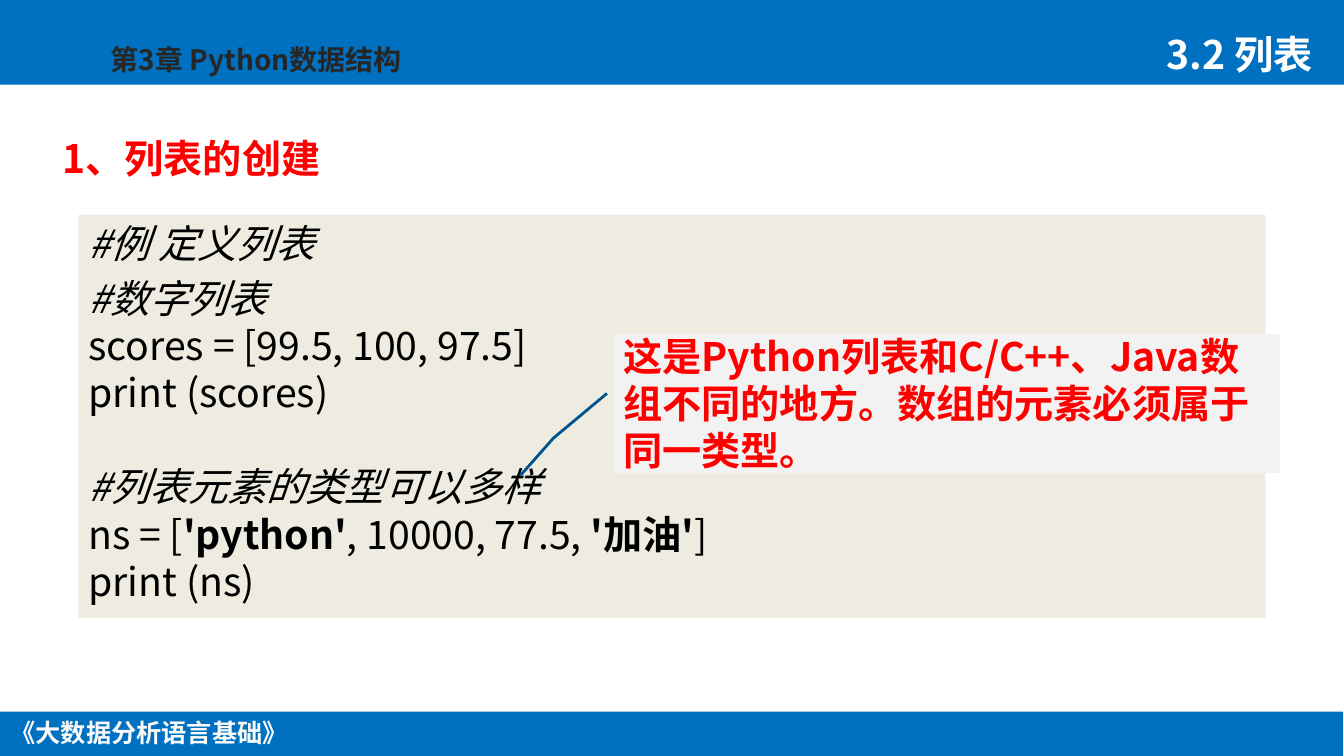
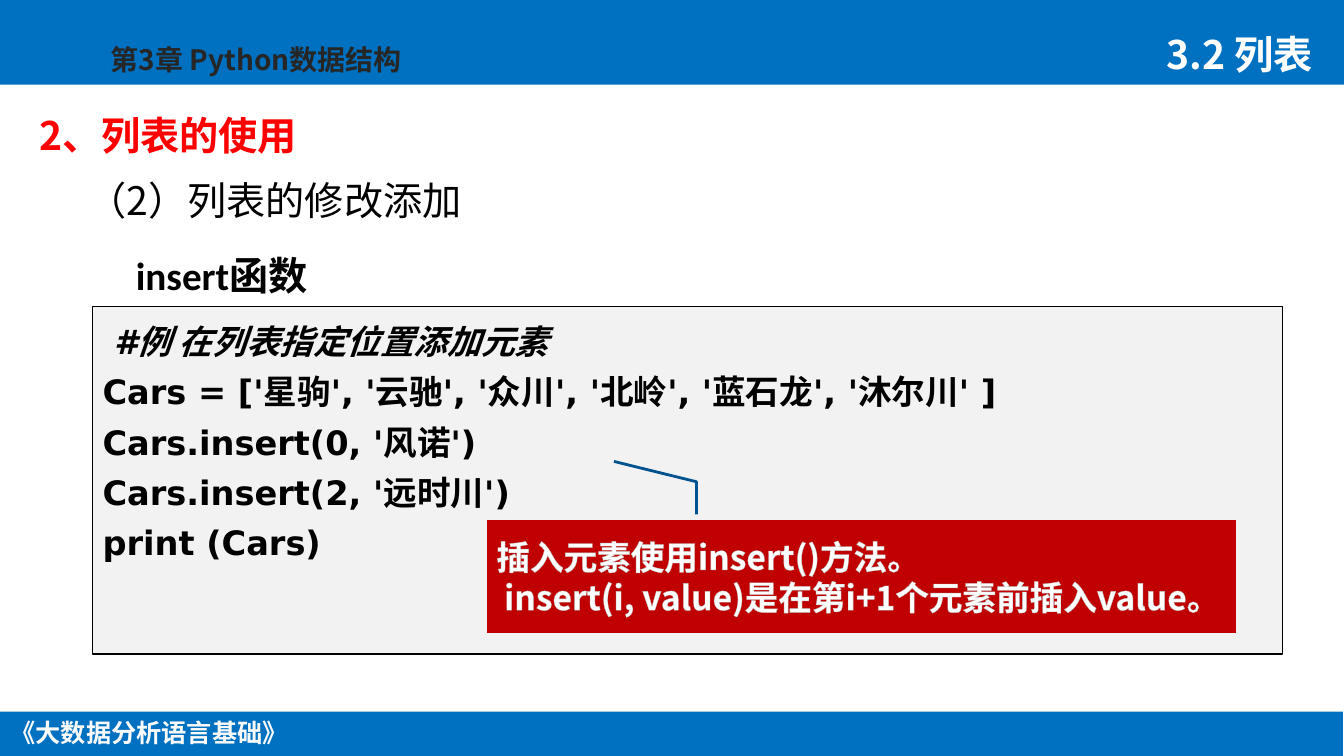
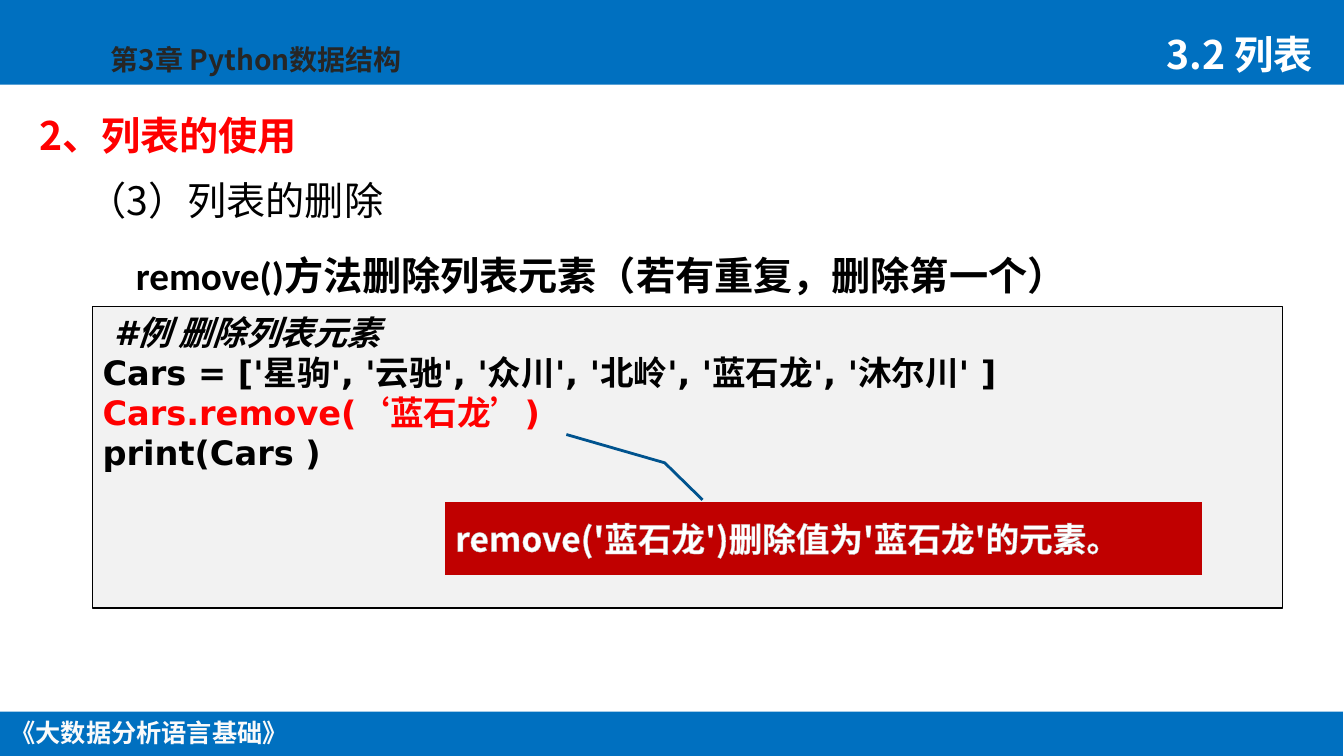
from dataclasses import dataclass
from typing import Optional

from lxml.etree import SubElement
from pptx import Presentation
from pptx.dml.color import RGBColor
from pptx.enum.shapes import MSO_SHAPE
from pptx.enum.text import MSO_ANCHOR, MSO_AUTO_SIZE, PP_ALIGN
from pptx.oxml import parse_xml
from pptx.oxml.ns import nsdecls, qn
from pptx.util import Inches, Pt

SLIDE_WIDTH = 13.34
SLIDE_HEIGHT = 7.5
CJK_FONT = "Noto Sans CJK SC"
CODE_FONT = "DejaVu Sans"
BAND_BLUE = "0070C0"
LEADER_BLUE = "00538E"
RED = "FF0000"
DARK_RED = "C00000"
BLACK = "000000"
WHITE = "FFFFFF"
PALE_GREY = "F2F2F2"
BEIGE = "EEECE1"
SECTION = "3.2 列表"
CAR_LIST = "Cars = ['星驹', '云驰', '众川', '北岭', '蓝石龙', '沐尔川' ]"


@dataclass(frozen=True)
class Box:
    """Position and size in inches."""

    left: float
    top: float
    width: float
    height: float


@dataclass(frozen=True)
class Span:
    """Text whose format differs from that of its block where it is set."""

    text: str
    bold: Optional[bool] = None
    italic: Optional[bool] = None
    color: Optional[str] = None


@dataclass(frozen=True)
class Line:
    """One paragraph of spans with the space before it in points."""

    spans: tuple[Span, ...]
    space_before: float = 0


@dataclass(frozen=True)
class Panel:
    """Filled rectangle holding lines of code."""

    box: Box
    fill: str
    lines: list[Line]
    border: Optional[str] = None
    size: float = 28
    font: str = CJK_FONT
    bold: bool = False
    line_spacing: Optional[float] = None


@dataclass(frozen=True)
class Callout:
    """Remark whose leader passes through relative y, x pairs."""

    box: Box
    leader: tuple[float, ...]
    lines: list[Line]
    fill: str = DARK_RED
    color: str = WHITE
    size: float = 24
    outline: Optional[tuple[str, float]] = ("BFBFBF", 0.8)


@dataclass(frozen=True)
class Lesson:
    """Content of one slide."""

    heading: str
    heading_box: Box
    panel: Panel
    callout: Callout
    topic: str = ""
    method: str = ""


def line(text: str, space_before: float = 0, **differences) -> Line:
    """Return a paragraph with a single span."""
    return Line((Span(text, **differences),), space_before)


def rgb(color: str) -> RGBColor:
    """Return the colour for a hex string."""
    return RGBColor.from_string(color)


def place(shape, box: Box) -> None:
    """Move and size a shape."""
    shape.left, shape.top = Inches(box.left), Inches(box.top)
    shape.width, shape.height = Inches(box.width), Inches(box.height)


def add_run(paragraph, text: str, *, size: float, color: str, font: str,
            bold: bool, italic: bool,
            outline: Optional[tuple[str, float]]) -> None:
    """Append a formatted run."""
    run = paragraph.add_run()
    run.text = text
    run.font.size = Pt(size)
    run.font.bold = bold
    run.font.italic = italic
    run.font.name = font
    run.font.color.rgb = rgb(color)
    properties = run._r.get_or_add_rPr()
    SubElement(properties, qn("a:ea")).set("typeface", CJK_FONT)
    if outline:
        outline_color, width = outline
        properties.insert(0, parse_xml(
            f'<a:ln {nsdecls("a")} w="{int(Pt(width))}"><a:solidFill>'
            f'<a:srgbClr val="{outline_color}"/></a:solidFill></a:ln>'))


def write_text(shape, lines: list[Line], *, size: float = 28,
               color: str = BLACK, font: str = CJK_FONT, bold: bool = False,
               outline: Optional[tuple[str, float]] = None,
               align: PP_ALIGN = PP_ALIGN.LEFT,
               anchor: MSO_ANCHOR = MSO_ANCHOR.TOP,
               line_spacing=None, wrap: bool = True) -> None:
    """Fill a shape with formatted paragraphs."""
    frame = shape.text_frame
    frame.word_wrap = wrap
    frame.auto_size = MSO_AUTO_SIZE.NONE
    frame.vertical_anchor = anchor
    for index, item in enumerate(lines):
        paragraph = frame.paragraphs[0] if index == 0 else frame.add_paragraph()
        paragraph.alignment = align
        paragraph.space_before = Pt(item.space_before)
        if line_spacing:
            paragraph.line_spacing = line_spacing
        for span in item.spans:
            add_run(paragraph, span.text, size=size, font=font, outline=outline,
                    color=span.color or color, italic=bool(span.italic),
                    bold=bold if span.bold is None else span.bold)


def add_filled(slide, kind: MSO_SHAPE, box: Box, fill: str,
               border: Optional[str] = None, border_width: float = 1):
    """Add a preset shape with a plain fill and an optional line."""
    shape = slide.shapes.add_shape(kind, 0, 0, 0, 0)
    place(shape, box)
    shape.shadow.inherit = False
    shape.fill.solid()
    shape.fill.fore_color.rgb = rgb(fill)
    if border:
        shape.line.color.rgb = rgb(border)
        shape.line.width = Pt(border_width)
    else:
        shape.line.fill.background()
    return shape


def add_label(slide, box: Box, text: str, **text_format):
    """Add a text box with one paragraph."""
    shape = slide.shapes.add_textbox(0, 0, 0, 0)
    place(shape, box)
    write_text(shape, [line(text)], **text_format)
    return shape


def fill_placeholder(placeholder, box: Box, text: str, **text_format) -> None:
    """Move a placeholder and write unbulleted text at its bottom."""
    place(placeholder, box)
    write_text(placeholder, [line(text)], anchor=MSO_ANCHOR.BOTTOM,
               line_spacing=0.9, **text_format)
    properties = placeholder.text_frame.paragraphs[0]._p.get_or_add_pPr()
    properties.set("marL", "0")
    properties.set("indent", "0")
    SubElement(properties, qn("a:buNone"))


def build_layout(presentation, layout) -> None:
    """Put the bands, chapter and course name on the layout."""
    slide = presentation.slides.add_slide(layout)
    shared = [
        add_filled(slide, MSO_SHAPE.RECTANGLE, Box(0, 0, SLIDE_WIDTH, 0.84),
                   BAND_BLUE),
        add_filled(slide, MSO_SHAPE.RECTANGLE,
                   Box(-0.01, 7.06, SLIDE_WIDTH, 0.45), BAND_BLUE),
        add_label(slide, Box(-0.01, 7.07, 2.98, 0.4), "《大数据分析语言基础》",
                  size=18, color="FAFAFA", bold=True, align=PP_ALIGN.CENTER,
                  wrap=False),
        add_label(slide, Box(1, 0.37, 3.78, 0.44), "第3章 Python数据结构",
                  size=20, color="262626", bold=True, outline=(WHITE, 1.06)),
    ]
    for index, shape in enumerate(shared):
        shape.element.nvSpPr.cNvPr.id = 20 + index
        layout.shapes.element.insert(2 + index, shape.element)


def build_slide(slide, lesson: Lesson) -> None:
    """Draw one lesson."""
    title, section, topic = slide.placeholders
    fill_placeholder(title, lesson.heading_box, lesson.heading,
                     color=RED, bold=True)
    fill_placeholder(section, Box(11.17, 0.08, 1.96, 0.74), SECTION,
                     color=WHITE, bold=True, align=PP_ALIGN.RIGHT)
    if lesson.topic:
        fill_placeholder(topic, Box(0.77, 1.79, 8.36, 0.48), lesson.topic)
    else:
        topic.element.getparent().remove(topic.element)
    if lesson.method:
        add_label(slide, Box(1.25, 2.26, 10.68, 0.94), lesson.method,
                  font="Calibri", bold=True, anchor=MSO_ANCHOR.MIDDLE)

    panel = lesson.panel
    code = add_filled(slide, MSO_SHAPE.RECTANGLE, panel.box, panel.fill,
                      panel.border)
    write_text(code, panel.lines, size=panel.size, font=panel.font,
               bold=panel.bold,
               line_spacing=Pt(panel.line_spacing) if panel.line_spacing else None)

    callout = lesson.callout
    remark = add_filled(slide, MSO_SHAPE.LINE_CALLOUT_2_NO_BORDER, callout.box,
                        callout.fill, LEADER_BLUE, 2)
    for index, value in enumerate(callout.leader):
        remark.adjustments[index] = value
    write_text(remark, callout.lines, size=callout.size, color=callout.color,
               bold=True, outline=callout.outline, anchor=MSO_ANCHOR.MIDDLE)


def car_panel(height: float, lines: list[Line],
              line_spacing: Optional[float] = None) -> Panel:
    """Return the bordered panel of the car examples."""
    return Panel(Box(0.92, 3.04, 11.81, height), PALE_GREY, lines, border=BLACK,
                 size=24, font=CODE_FONT, bold=True, line_spacing=line_spacing)


USE_HEADING = "2、列表的使用"
USE_BOX = Box(0.29, 1.15, 8.36, 0.48)

LESSONS = [
    Lesson(
        "1、列表的创建", Box(0.52, 0.97, 4.2, 0.89),
        Panel(Box(0.78, 2.13, 11.78, 4), BEIGE, [
            line("#例 定义列表", italic=True),
            line("#数字列表", 5.6, italic=True),
            line("scores = [99.5, 100, 97.5]"),
            line("print (scores)"),
            line("#列表元素的类型可以多样", 33.6, italic=True),
            Line((Span("ns = ["), Span("'python'", bold=True),
                  Span(", 10000, 77.5, "), Span("'加油'", bold=True),
                  Span("]"))),
            line("print (ns)"),
        ]),
        Callout(Box(6.09, 3.31, 6.61, 1.38),
                (0.43, -0.01, 0.75, -0.09, 1.02, -0.14),
                [line("这是Python列表和C/C++、Java数组不同的地方。"
                      "数组的元素必须属于同一类型。")],
                fill=PALE_GREY, color=RED, size=28, outline=None),
    ),
    Lesson(
        USE_HEADING, USE_BOX,
        car_panel(3.45, [
            line(" #例 在列表指定位置添加元素", italic=True),
            line(CAR_LIST),
            line("Cars.insert(0, '风诺')"),
            line("Cars.insert(2, '远时川')"),
            line("print (Cars)"),
        ], line_spacing=35.8),
        Callout(Box(4.83, 5.16, 7.44, 1.12),
                (-0.05, 0.28, -0.34, 0.28, -0.52, 0.17),
                [line("插入元素使用insert()方法。"),
                 line(" insert(i, value)是在第i+1个元素前插入value。")]),
        topic="（2）列表的修改添加", method="insert函数",
    ),
    Lesson(
        USE_HEADING, USE_BOX,
        car_panel(2.99, [
            line(" #例 删除列表元素", italic=True),
            line(CAR_LIST),
            line("Cars.remove(‘蓝石龙’)", color=RED),
            line("print(Cars )"),
        ]),
        Callout(Box(4.42, 4.98, 7.51, 0.72),
                (-0.03, 0.34, -0.54, 0.29, -0.93, 0.16),
                [line("remove('蓝石龙')删除值为'蓝石龙'的元素。")]),
        topic="（3）列表的删除",
        method="remove()方法删除列表元素（若有重复，删除第一个）",
    ),
]


def main() -> None:
    """Build and save the presentation."""
    presentation = Presentation()
    presentation.slide_width = Inches(SLIDE_WIDTH)
    presentation.slide_height = Inches(SLIDE_HEIGHT)
    layout = presentation.slide_layouts.get_by_name("Two Content")
    build_layout(presentation, layout)
    for index, lesson in enumerate(LESSONS):
        slide = (presentation.slides[0] if index == 0
                 else presentation.slides.add_slide(layout))
        build_slide(slide, lesson)
    presentation.save("out.pptx")


if __name__ == "__main__":
    main()
